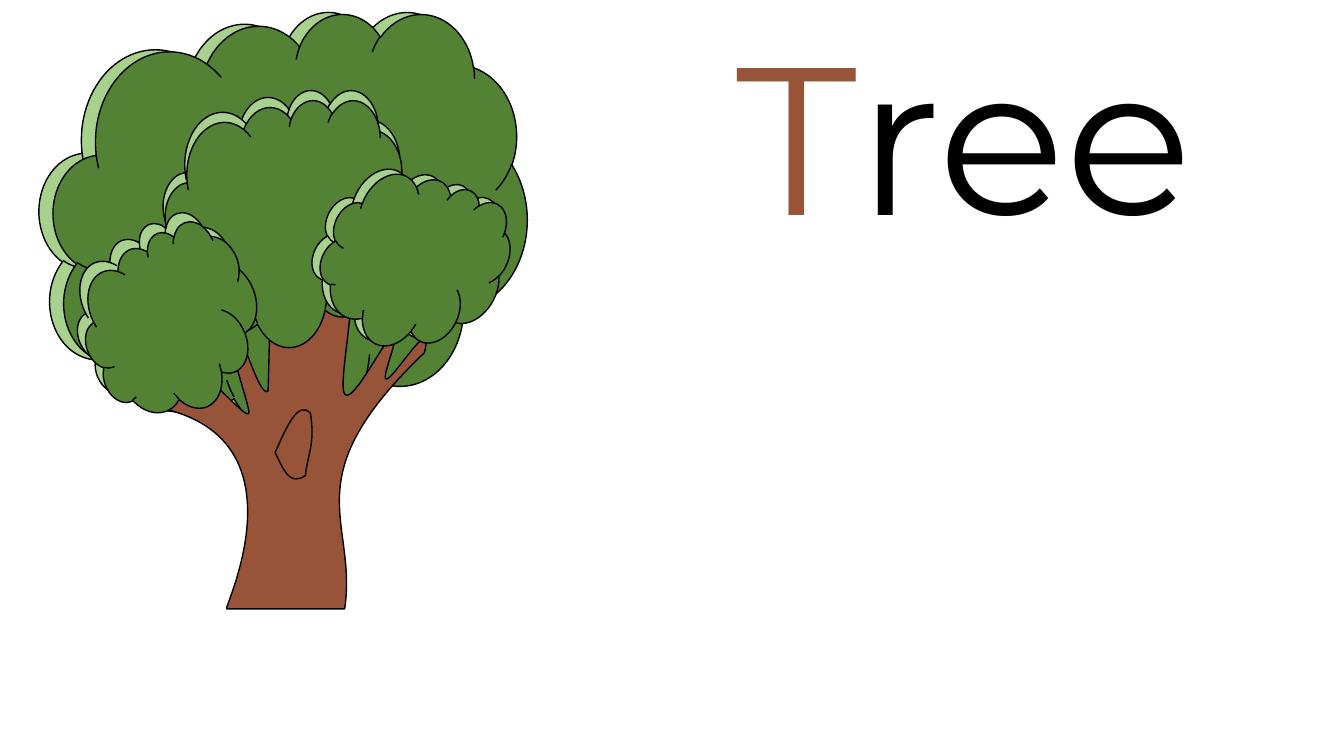
from lxml.etree import SubElement
from pptx import Presentation
from pptx.dml.color import RGBColor
from pptx.enum.shapes import MSO_SHAPE as Preset
from pptx.enum.text import MSO_ANCHOR as Anchor, MSO_AUTO_SIZE as AutoSize, PP_ALIGN as Align
from pptx.oxml.ns import qn
from pptx.util import Emu, Inches, Pt

PX = 9144  # 100 px to the inch
LEAF, LEAF_LIGHT, BARK, INK = "548235", "A9D18E", "975439", "000000"
FONT = "Montserrat"

# Outlines: a pair is a line to that point, six numbers are a Bézier curve.
TRUNK = [
    (269, 273), (342, 273), (359, 278, 334, 381, 342, 391),
    (350, 401, 379, 341, 389, 333), (400, 325, 378, 374, 383, 376),
    (389, 379, 432, 306, 421, 350), (289, 476, 355, 515, 342, 604),
    (225, 604), (219, 609, 307, 437, 160, 405),
    (152, 366, 169, 371, 181, 372), (184, 339, 250, 427, 247, 408),
    (243, 388, 217, 312, 224, 314), (234, 305, 256, 397, 266, 388),
]
KNOT = [
    (273, 449), (285, 422, 296, 397, 308, 410),
    (313, 441, 305, 451, 303, 472), (288, 481, 283, 470, 273, 449),
]


def color(hex_string):
    return RGBColor.from_string(hex_string)


def px(*lengths):
    return [Emu(length * PX) for length in lengths]


def add_text(paragraph, text, size, fill, outline=None):
    run = paragraph.add_run()
    run.text = text
    run.font.name = FONT
    run.font.size = Pt(size)
    run.font.color.rgb = color(fill)
    if outline:
        properties = run.font._element
        line = SubElement(properties, qn("a:ln"), w=str(Pt(0.75)))
        solid = SubElement(line, qn("a:solidFill"))
        SubElement(solid, qn("a:srgbClr"), val=outline)
        properties.insert(0, line)


def draw_curves(path, outline, left, top):
    """Replace the segments of a freeform path by the lines and curves of an outline."""
    for segment in list(path):
        path.remove(segment)
    for index, numbers in enumerate(outline):
        tag = "cubicBezTo" if len(numbers) == 6 else "lnTo" if index else "moveTo"
        segment = SubElement(path, qn(f"a:{tag}"))
        for x, y in zip(numbers[::2], numbers[1::2]):
            SubElement(segment, qn("a:pt"), x=str((x - left) * PX), y=str((y - top) * PX))
    SubElement(path, qn("a:close"))


class TreeSlide:
    def __init__(self, presentation):
        self.slide = presentation.slides.add_slide(presentation.slide_layouts[5])
        self.tree = self.slide.shapes.add_group_shape().shapes

    def title(self, left, top, width, height, runs):
        title = self.slide.shapes.title
        title.left, title.top, title.width, title.height = px(left, top, width, height)
        frame = title.text_frame
        frame.word_wrap = True
        frame.auto_size = AutoSize.SHAPE_TO_FIT_TEXT
        frame.vertical_anchor = Anchor.TOP
        paragraph = frame.paragraphs[0]
        paragraph.alignment = Align.LEFT
        for text, style in runs:
            add_text(paragraph, text, size=150, **style)

    def paint(self, shape, fill):
        shape.shadow.inherit = False
        if fill:
            shape.fill.solid()
            shape.fill.fore_color.rgb = color(fill)
        else:
            shape.fill.background()
        shape.line.color.rgb = color(INK)
        shape.line.width = Pt(1)

    def cloud(self, left, top, width, height, fill, rotation=0):
        cloud = self.tree.add_shape(Preset.CLOUD, *px(left, top, width, height))
        cloud.rotation = rotation
        self.paint(cloud, fill)

    def freeform(self, left, top, width, height, outline, fill=None):
        right, bottom = left + width, top + height
        builder = self.tree.build_freeform(*px(left, top))
        builder.add_line_segments([px(right, top), px(right, bottom), px(left, bottom)])
        shape = builder.convert_to_shape()
        draw_curves(next(shape._element.iter(qn("a:path"))), outline, left, top)
        self.paint(shape, fill)


def main():
    presentation = Presentation()
    presentation.slide_width, presentation.slide_height = Inches(40 / 3), Inches(7.5)
    page = TreeSlide(presentation)
    page.title(721, 0, 598, 263, [
        ("T", {"fill": BARK, "outline": INK}),
        ("ree", {"fill": INK}),
    ])

    page.cloud(39, 11, 470, 421, LEAF_LIGHT)
    page.cloud(53, 13, 470, 421, LEAF)
    page.freeform(158, 273, 265, 331, TRUNK, BARK)
    page.cloud(162, 89, 240, 245, LEAF_LIGHT)
    page.cloud(164, 99, 240, 245, LEAF)
    right, left = 26.5, 338.5
    page.cloud(315, 166, 175, 178, LEAF_LIGHT, right)
    page.cloud(75, 223, 175, 178, LEAF_LIGHT, left)
    page.freeform(273, 406, 37, 69, KNOT)
    page.cloud(323, 171, 175, 178, LEAF, right)
    page.cloud(83, 232, 175, 178, LEAF, left)
    presentation.save("out.pptx")


if __name__ == "__main__":
    main()
